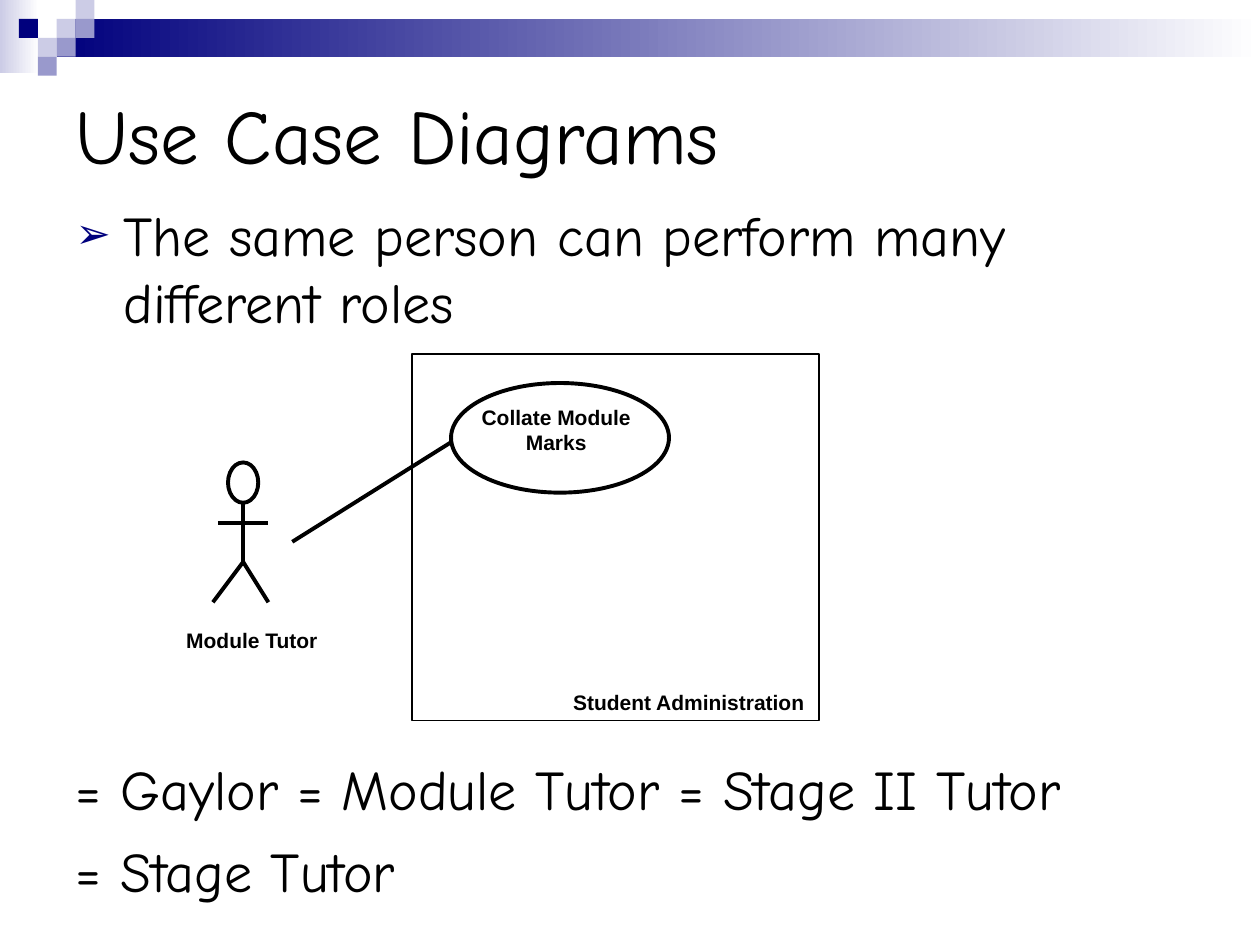
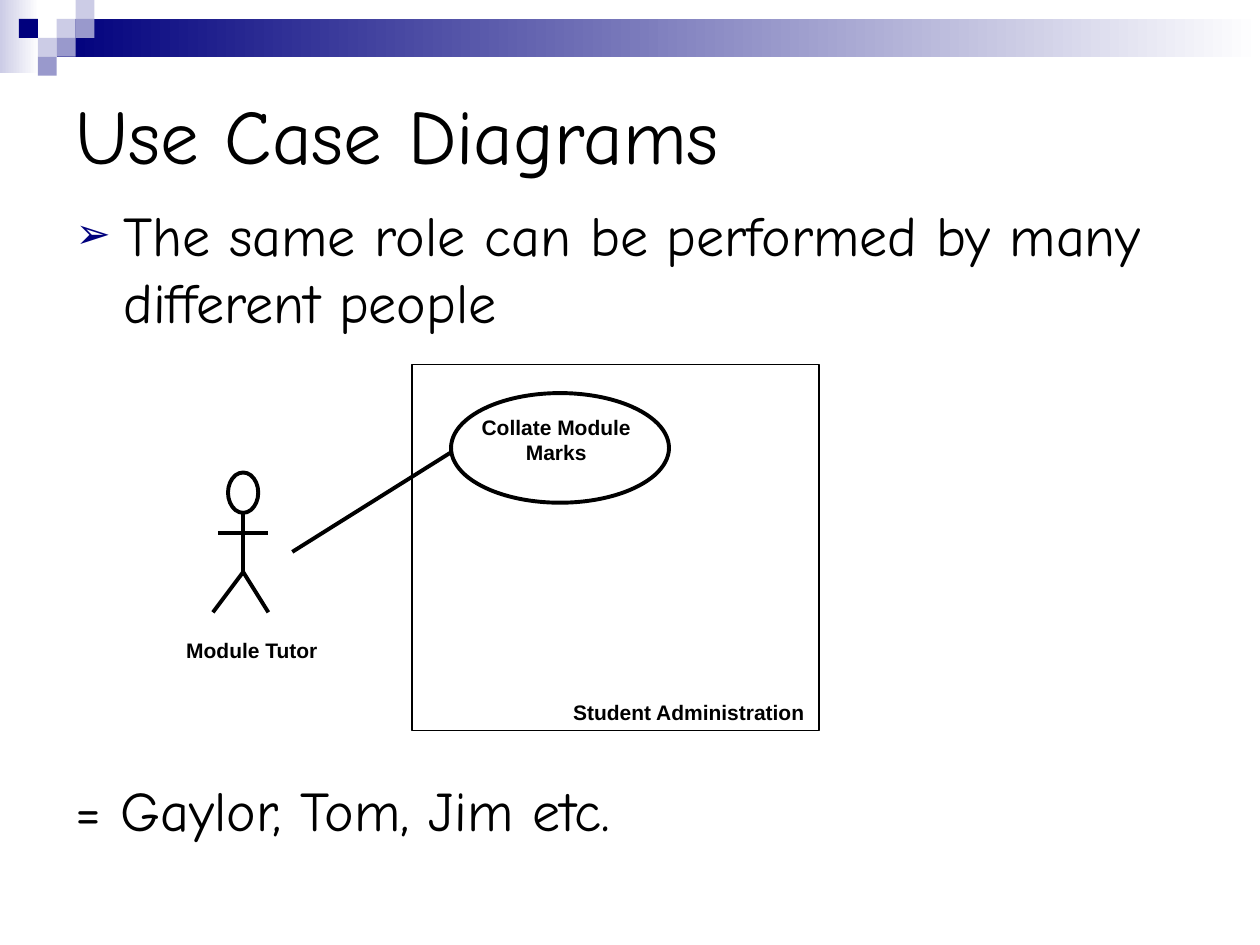
from dataclasses import dataclass

from lxml import etree
from pptx import Presentation
from pptx.dml.color import RGBColor
from pptx.enum.shapes import MSO_CONNECTOR, MSO_SHAPE
from pptx.enum.text import MSO_ANCHOR, MSO_AUTO_SIZE, PP_ALIGN
from pptx.oxml.ns import qn
from pptx.shapes.autoshape import Shape
from pptx.shapes.shapetree import GroupShapes, SlideShapes
from pptx.slide import Slide
from pptx.util import Inches, Pt

RECT, OVAL = MSO_SHAPE.RECTANGLE, MSO_SHAPE.OVAL
STRAIGHT = MSO_CONNECTOR.STRAIGHT
LEFT, CENTER = PP_ALIGN.LEFT, PP_ALIGN.CENTER
TOP, MIDDLE = MSO_ANCHOR.TOP, MSO_ANCHOR.MIDDLE
NO_AUTOFIT = MSO_AUTO_SIZE.NONE

NAVY, VIOLET, LILAC, WHITE, BLACK = "00007D", "9999CC", "CCCCE6", "FFFFFF", "000000"
HEAD_FONT, LABEL_FONT = "Comic Neue", "Arial"
TILE = 0.15
INDENT = 0.38
THIN, THICK = 0.75, 2.25

Shapes = SlideShapes | GroupShapes


@dataclass(frozen=True)
class Box:
    """A rectangle on the slide, in inches."""
    left: float
    top: float
    width: float
    height: float

    def emu(self) -> tuple[int, int, int, int]:
        """Give the four lengths as python-pptx wants them."""
        return Inches(self.left), Inches(self.top), Inches(self.width), Inches(self.height)

    def down(self, dy: float) -> "Box":
        """Give the same box lower by dy."""
        return Box(self.left, self.top + dy, self.width, self.height)


@dataclass(frozen=True)
class Tile:
    """A square of the corner mosaic, placed on its grid."""
    col: int
    row: int
    color: str


@dataclass(frozen=True)
class Stroke:
    """A straight line between two points, in inches."""
    x1: float
    y1: float
    x2: float
    y2: float


@dataclass(frozen=True)
class UseCaseSlide:
    """What differs between the use case slides."""
    point: str
    equations: tuple[str, ...]
    gap: float
    diagram_dy: float
    body_width: float


BANDS = ((Box(0, 0, 0.31, 0.58), LILAC), (Box(0.45, TILE, 9.55, 2 * TILE), NAVY))
TILES = (
    Tile(3, 1, LILAC), Tile(4, 0, LILAC), Tile(4, 1, VIOLET), Tile(2, 2, LILAC),
    Tile(1, 1, NAVY), Tile(3, 2, VIOLET), Tile(2, 3, VIOLET),
)
ACTOR_HEAD = Box(1.81, 3.67, 0.24, 0.32)
ACTOR_LIMBS = (
    Stroke(1.93, 3.99, 1.93, 4.46), Stroke(1.69, 4.78, 1.93, 4.46),
    Stroke(1.93, 4.46, 2.13, 4.78), Stroke(1.73, 4.15, 2.13, 4.15),
)
ASSOCIATION = Stroke(2.32, 4.3, 3.58, 3.51)
SYSTEM = Box(3.27, 2.81, 3.23, 2.91)
USE_CASE = Box(3.58, 3.04, 1.73, 0.87)
SLIDES = (
    UseCaseSlide("The same person can perform many different roles",
                 ("= Gaylor = Module Tutor = Stage II Tutor", "= Stage Tutor"), 240, 0, 9.23),
    UseCaseSlide("The same role can be performed by many different people",
                 ("= Gaylor, Tom, Jim etc.",), 252, 0.08, 9),
)


def rgb(color: str) -> RGBColor:
    """Turn a hex string into a colour."""
    return RGBColor.from_string(color)


def add_block(shapes: Shapes, box: Box, color: str, fade: bool = False) -> None:
    """Draw a filled rectangle, fading to white if asked."""
    s = shapes.add_shape(RECT, *box.emu())
    s.shadow.inherit = False
    s.line.fill.background()
    if fade:
        s.fill.gradient()
        s.fill.gradient_angle = 0
        for stop, position, hue in zip(s.fill.gradient_stops, (0, 1), (color, WHITE)):
            stop.position = position
            stop.color.rgb = rgb(hue)
    else:
        s.fill.solid()
        s.fill.fore_color.rgb = rgb(color)


def add_outline(shapes: Shapes, kind: MSO_SHAPE, box: Box, weight: float) -> None:
    """Draw an unfilled black shape."""
    s = shapes.add_shape(kind, *box.emu())
    s.shadow.inherit = False
    s.fill.background()
    s.line.color.rgb = rgb(BLACK)
    s.line.width = Pt(weight)


def add_stroke(shapes: Shapes, stroke: Stroke, dy: float) -> None:
    """Draw a thick black line."""
    s = shapes.add_connector(STRAIGHT, Inches(stroke.x1), Inches(stroke.y1 + dy),
                             Inches(stroke.x2), Inches(stroke.y2 + dy))
    s.line.color.rgb = rgb(BLACK)
    s.line.width = Pt(THICK)
    etree.SubElement(s.element.spPr, qn("a:effectLst"))


def style_text(s: Shape, font: str, size: float, align: PP_ALIGN, bold: bool = False) -> None:
    """Format all runs and paragraphs of a shape."""
    for p in s.text_frame.paragraphs:
        p.alignment = align
        for r in p.runs:
            r.font.name = font
            r.font.size = Pt(size)
            r.font.bold = bold
            r.font.color.rgb = rgb(BLACK)


def add_label(shapes: Shapes, text: str, box: Box, align: PP_ALIGN = LEFT) -> None:
    """Write a small bold label of the diagram."""
    s = shapes.add_textbox(*box.emu())
    s.text_frame.word_wrap = True
    s.text_frame.text = text
    style_text(s, LABEL_FONT, 12, align, bold=True)


def fill_placeholder(s: Shape, lines: tuple[str, ...], box: Box, size: float,
                     anchor: MSO_ANCHOR) -> None:
    """Move a placeholder and write its lines."""
    s.left, s.top, s.width, s.height = box.emu()
    tf = s.text_frame
    tf.text = "\n".join(lines)
    tf.auto_size = NO_AUTOFIT
    tf.vertical_anchor = anchor
    style_text(s, HEAD_FONT, size, LEFT)


def add_body(s: Shape, content: UseCaseSlide) -> None:
    """Write the bulleted point above and the equations below the diagram."""
    fill_placeholder(s, (content.point, *content.equations),
                     Box(0.5, 1.54, content.body_width, 5.83), 32, TOP)
    for i, p in enumerate(s.text_frame.paragraphs):
        p.space_before = Pt((0, content.gap, 8)[i])
        pPr = p._p.get_or_add_pPr()
        pPr.set("marL", str(Inches(INDENT)))
        pPr.set("indent", str(-Inches(INDENT)))
        if i == 0:
            color = etree.SubElement(pPr, qn("a:buClr"))
            etree.SubElement(color, qn("a:srgbClr"), val=NAVY)
            etree.SubElement(pPr, qn("a:buSzPct"), val="75000")
            etree.SubElement(pPr, qn("a:buFont"), typeface=LABEL_FONT)
            etree.SubElement(pPr, qn("a:buChar"), char="➢")
        else:
            etree.SubElement(pPr, qn("a:buNone"))


def add_banner(shapes: Shapes) -> None:
    """Draw the fading bands and the corner mosaic."""
    for box, color in BANDS:
        add_block(shapes, box, color, fade=True)
    for tile in TILES:
        add_block(shapes, Box(tile.col * TILE, tile.row * TILE, TILE, TILE), tile.color)


def add_diagram(shapes: Shapes, dy: float) -> None:
    """Draw the actor, the system boundary and its use case."""
    actor = shapes.add_group_shape().shapes
    add_outline(actor, OVAL, ACTOR_HEAD.down(dy), THICK)
    for limb in ACTOR_LIMBS:
        add_stroke(actor, limb, dy)
    add_label(shapes, "Module Tutor", Box(1.38, 4.93, 1.34, 0.3).down(dy))
    add_outline(shapes, RECT, SYSTEM.down(dy), THIN)
    add_label(shapes, "Student Administration", Box(4.45, 5.42, 2.09, 0.3).down(dy))
    use_case = shapes.add_group_shape().shapes
    add_outline(use_case, OVAL, USE_CASE.down(dy), THICK)
    add_label(use_case, "Collate Module Marks", Box(3.58, 3.16, 1.67, 0.5).down(dy), CENTER)
    add_stroke(shapes, ASSOCIATION, dy)


def build_slide(slide: Slide, content: UseCaseSlide) -> None:
    """Fill one use case slide."""
    add_banner(slide.shapes)
    fill_placeholder(slide.shapes.title, ("Use Case Diagrams",),
                     Box(0.5, 0.5, 9, 1.12), 44, MIDDLE)
    add_diagram(slide.shapes, content.diagram_dy)
    add_body(slide.placeholders[1], content)


def main() -> None:
    """Build and save the presentation."""
    prs = Presentation()
    prs.slide_width, prs.slide_height = Inches(10), Inches(7.5)
    for content in SLIDES:
        build_slide(prs.slides.add_slide(prs.slide_layouts[1]), content)
    prs.save("out.pptx")


if __name__ == "__main__":
    main()
